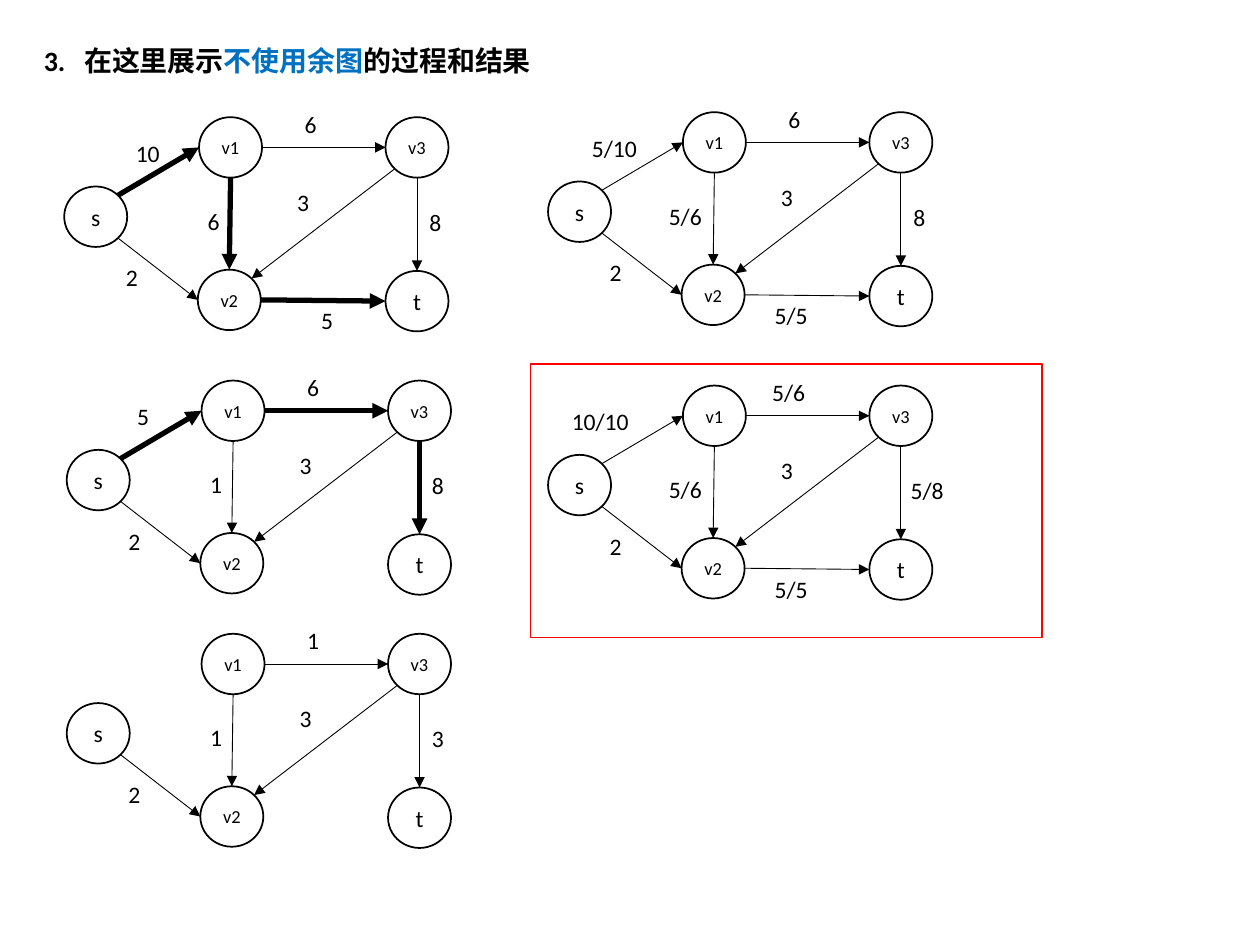
import pptx
import pptx.util
import pptx.dml.color
import pptx.enum.shapes
import pptx.enum.text
import pptx.oxml
import pptx.oxml.ns
from dataclasses import dataclass

Inches = pptx.util.Inches
SHAPES = pptx.enum.shapes.MSO_SHAPE
ALIGN = pptx.enum.text.PP_ALIGN
ANCHOR = pptx.enum.text.MSO_ANCHOR


@dataclass(frozen=True)
class Theme:
    font: str = "Calibri"
    ink: str = "000000"
    paper: str = "FFFFFF"
    accent: str = "0070C0"
    frame: str = "FF0000"
    title: float = 16
    label: float = 13.5
    small: float = 10.5
    outline: float = 1
    thin: float = 0.5
    thick: float = 3


THEME = Theme()

# Content: heading, and the value on every edge of each flow network
TITLE = [("3.\t在这里展示", THEME.ink), ("不使用余图", THEME.accent), ("的过程和结果", THEME.ink)]
NETWORKS = [
    {"origin": (0.51, 0.93), "augmenting": {"s-v1", "v1-v2", "v2-t"},
     "values": {"s-v1": "10", "s-v2": "2", "v1-v2": "6", "v3-t": "8",
                "v1-v3": "6", "v3-v2": "3", "v2-t": "5"}},
    {"origin": (4.35, 0.89), "augmenting": set(),
     "values": {"s-v1": "5/10", "s-v2": "2", "v1-v2": "5/6", "v3-t": "8",
                "v1-v3": "6", "v3-v2": "3", "v2-t": "5/5"}},
    {"origin": (0.53, 3.02), "augmenting": {"s-v1", "v1-v3", "v3-t"},
     "values": {"s-v1": "5", "s-v2": "2", "v1-v2": "1", "v3-t": "8",
                "v1-v3": "6", "v3-v2": "3"}},
    {"origin": (4.35, 3.06), "augmenting": set(),
     "values": {"s-v1": "10/10", "s-v2": "2", "v1-v2": "5/6", "v3-t": "5/8",
                "v1-v3": "5/6", "v3-v2": "3", "v2-t": "5/5"}},
    {"origin": (0.53, 5.03), "augmenting": set(),
     "values": {"s-v2": "2", "v1-v2": "1", "v3-t": "3", "v1-v3": "1", "v3-v2": "3"}},
]
RESULT_FRAME = (4.21, 2.89, 4.06, 2.17)

# Layout shared by all networks, relative to the origin
NODE_WIDTH, NODE_HEIGHT = 0.5, 0.48
NODES = {"s": (0, 0.55), "v2": (1.06, 1.21), "v1": (1.07, 0), "v3": (2.55, 0), "t": (2.55, 1.22)}
NEAR, FAR = 0.146, 0.854
SITES = {"top": (0.5, 0), "bottom": (0.5, 1), "left": (0, 0.5), "right": (1, 0.5),
         "top left": (NEAR, NEAR), "top right": (FAR, NEAR),
         "bottom left": (NEAR, FAR), "bottom right": (FAR, FAR)}
# Edge: start site, end site, label left by text length, label top
EDGES = {
    "s-v1": ("top right", "left", {1: 0.46, 2: 0.47, 4: 0.25, 5: 0.09}, 0.12),
    "s-v2": ("bottom right", "left", {1: 0.39}, 1.11),
    "v1-v2": ("bottom", "top", {1: 1.04, 3: 0.86}, 0.66),
    "v3-t": ("bottom", "top", {1: 2.8, 3: 2.78}, 0.67),
    "v1-v3": ("right", "left", {1: 1.81, 3: 1.68}, -0.11),
    "v3-v2": ("bottom left", "top right", {1: 1.75}, 0.51),
    "v2-t": ("right", "left", {1: 1.94, 3: 1.7}, 1.45),
}
LABEL_WIDTHS = {1: 0.43, 2: 0.43, 3: 0.6, 4: 0.64, 5: 0.8}
LABEL_HEIGHT = 0.33


def color(value):
    return pptx.dml.color.RGBColor.from_string(value)


def add_span(para, text, *, size, ink=THEME.ink, bold=False):
    span = para.add_run()
    span.text = text
    span.font.name = THEME.font
    span.font.size = pptx.util.Pt(size)
    span.font.bold = bold
    span.font.color.rgb = color(ink)


def add_box(shapes, left, top, width, height):
    box = shapes.add_textbox(*map(Inches, (left, top, width, height)))
    box.text_frame.word_wrap = True
    box.text_frame.auto_size = pptx.enum.text.MSO_AUTO_SIZE.SHAPE_TO_FIT_TEXT
    return box.text_frame.paragraphs[0]


def add_outlined(shapes, kind, area, line):
    shape = shapes.add_shape(kind, *map(Inches, area))
    shape.shadow.inherit = False
    shape.line.color.rgb = color(line)
    shape.line.width = pptx.util.Pt(THEME.outline)
    return shape


def add_node(shapes, name, left, top):
    node = add_outlined(shapes, SHAPES.OVAL, (left, top, NODE_WIDTH, NODE_HEIGHT), THEME.ink)
    node.fill.solid()
    node.fill.fore_color.rgb = color(THEME.paper)
    frame = node.text_frame
    frame.margin_left = frame.margin_right = frame.margin_top = frame.margin_bottom = 0
    frame.vertical_anchor = ANCHOR.MIDDLE
    para = frame.paragraphs[0]
    para.alignment = ALIGN.CENTER
    add_span(para, name, size=THEME.label if len(name) == 1 else THEME.small)


def site_point(origin, node, site):
    x, y = NODES[node]
    across, down = SITES[site]
    return origin[0] + x + across * NODE_WIDTH, origin[1] + y + down * NODE_HEIGHT


def add_arrow(shapes, start, end, weight):
    arrow = shapes.add_connector(pptx.enum.shapes.MSO_CONNECTOR.STRAIGHT,
                                 *map(Inches, (*start, *end)))
    arrow.line.color.rgb = color(THEME.ink)
    arrow.line.width = pptx.util.Pt(weight)
    qn = pptx.oxml.ns.qn
    line = arrow.line._get_or_add_ln()
    line.append(line.makeelement(qn("a:tailEnd"), {"type": "triangle"}))
    properties = arrow._element.spPr
    properties.append(properties.makeelement(qn("a:effectLst"), {}))


def add_network(page, network):
    shapes = page.shapes.add_group_shape().shapes
    origin = network["origin"]
    for name, (x, y) in NODES.items():
        add_node(shapes, name, origin[0] + x, origin[1] + y)
    for edge, value in network["values"].items():
        start_site, end_site, lefts, top = EDGES[edge]
        start, end = edge.split("-")
        weight = THEME.thick if edge in network["augmenting"] else THEME.thin
        add_arrow(shapes, site_point(origin, start, start_site),
                  site_point(origin, end, end_site), weight)
        size = len(value)
        para = add_box(shapes, origin[0] + lefts[size], origin[1] + top,
                       LABEL_WIDTHS[size], LABEL_HEIGHT)
        add_span(para, value, size=THEME.label)


def add_title(page):
    para = add_box(page.shapes, 0.25, 0.3, 4.33, 0.37)
    qn = pptx.oxml.ns.qn
    properties = para._p.get_or_add_pPr()
    stops = properties.makeelement(qn("a:tabLst"), {})
    stops.append(stops.makeelement(qn("a:tab"), {"pos": str(Inches(0.32)), "algn": "l"}))
    properties.append(stops)
    for text, ink in TITLE:
        add_span(para, text, size=THEME.title, ink=ink, bold=True)


def main():
    deck = pptx.Presentation()
    deck.slide_width, deck.slide_height = Inches(10), Inches(7.5)
    page = deck.slides.add_slide(deck.slide_layouts[6])
    add_title(page)
    for network in NETWORKS:
        add_network(page, network)
    # Frame around the final flow
    frame = add_outlined(page.shapes, SHAPES.RECTANGLE, RESULT_FRAME, THEME.frame)
    frame.fill.background()
    deck.save("out.pptx")


if __name__ == "__main__":
    main()
